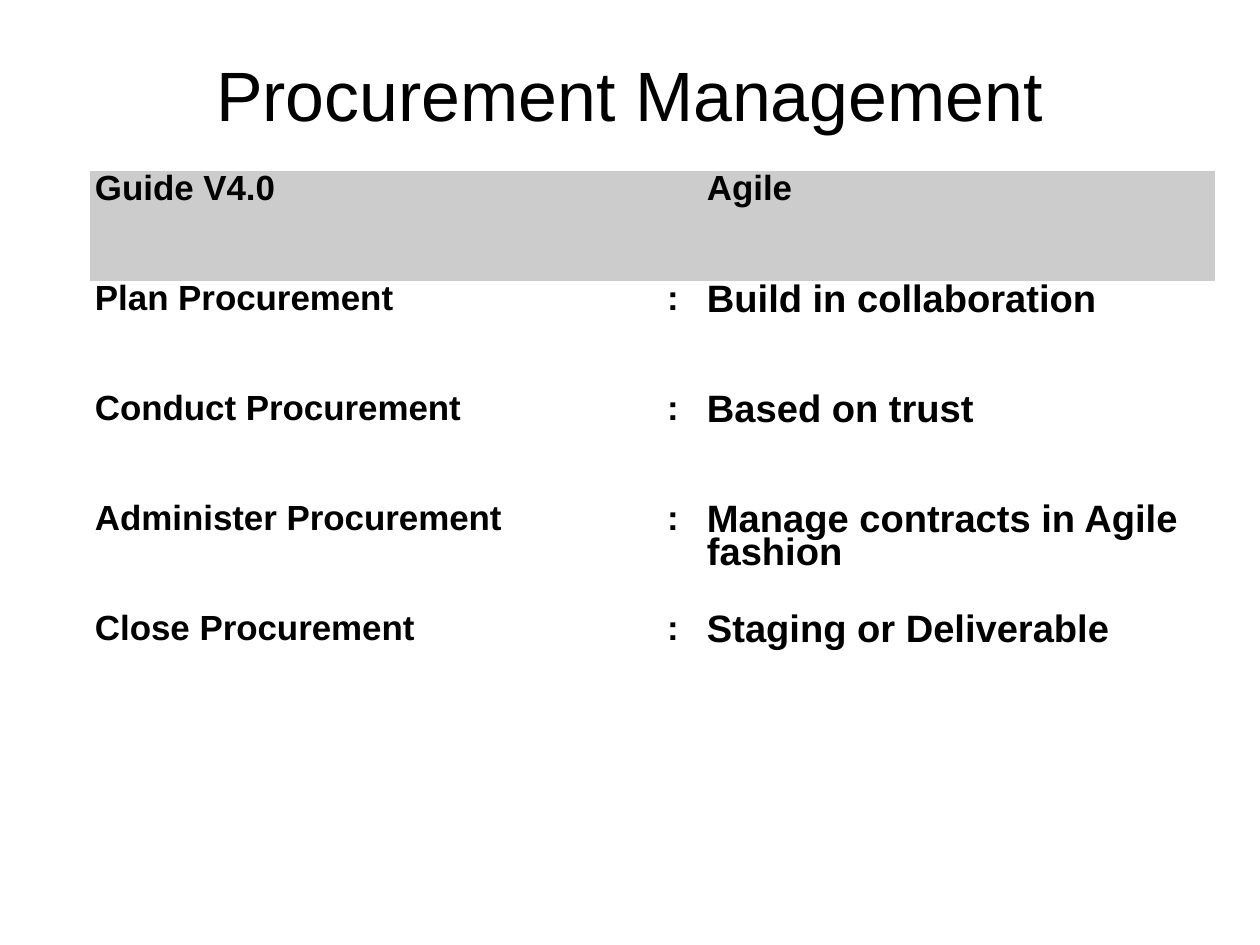
from pptx import Presentation
from pptx.dml.color import RGBColor
from pptx.enum.text import MSO_ANCHOR, PP_ALIGN
from pptx.oxml.ns import qn
from pptx.util import Pt

PX = 8000
LEFT, CENTER = PP_ALIGN.LEFT, PP_ALIGN.CENTER
MIDDLE = MSO_ANCHOR.MIDDLE
NO_GRID_STYLE = "{2D5ABB26-0587-4C30-8999-92F81FD0307C}"
COLORS = {"text": "000000", "header": "CCCCCC", "body": "FFFFFF"}


def write(tf, text, size, bold, align, spacing):
    p = tf.paragraphs[0]
    p.alignment = align
    p.line_spacing = spacing
    r = p.add_run()
    r.text = text
    for name, value in {"name": "Arial", "size": Pt(size), "bold": bold}.items():
        setattr(r.font, name, value)
    r.font.color.rgb = RGBColor.from_string(COLORS["text"])


prs = Presentation()
prs.slide_width, prs.slide_height = 1260 * PX, 945 * PX
s = prs.slides.add_slide(prs.slide_layouts[6])

title = s.shapes.add_textbox(63 * PX, 38 * PX, 1134 * PX, 115 * PX)
tf = title.text_frame
title_format = {"word_wrap": True, "vertical_anchor": MIDDLE, "margin_left": 0,
                "margin_right": 0, "margin_top": 5 * PX, "margin_bottom": 0}
for name, value in title_format.items():
    setattr(tf, name, value)
write(tf, "Procurement Management", 44, False, CENTER, 0.93)

rows = [
    ("Guide V4.0", "", "Agile"),
    ("Plan Procurement", ":", "Build in collaboration"),
    ("Conduct Procurement", ":", "Based on trust"),
    ("Administer Procurement", ":", "Manage contracts in Agile fashion"),
    ("Close Procurement", ":", "Staging or Deliverable"),
]
widths = [554, 58, 513]
row_height = 110
aligns = [LEFT, CENTER, LEFT]
body_sizes = [22, 22, 24]
cell_format = {"margin_left": 5 * PX, "margin_right": 5 * PX,
               "margin_top": 6 * PX, "margin_bottom": 6 * PX}

table = s.shapes.add_table(len(rows), len(widths), 90 * PX, 171 * PX,
                           sum(widths) * PX, len(rows) * row_height * PX).table
table.first_row = table.horz_banding = False
table._tbl.tblPr.find(qn("a:tableStyleId")).text = NO_GRID_STYLE
for column, width in zip(table.columns, widths):
    column.width = width * PX

for i, texts in enumerate(rows):
    table.rows[i].height = row_height * PX
    for j, text in enumerate(texts):
        cell = table.cell(i, j)
        for name, value in cell_format.items():
            setattr(cell, name, value)
        cell.fill.solid()
        cell.fill.fore_color.rgb = RGBColor.from_string(COLORS["body" if i else "header"])
        if text:
            write(cell.text_frame, text, body_sizes[j] if i else 22, True, aligns[j], 0.76)

prs.save("out.pptx")
